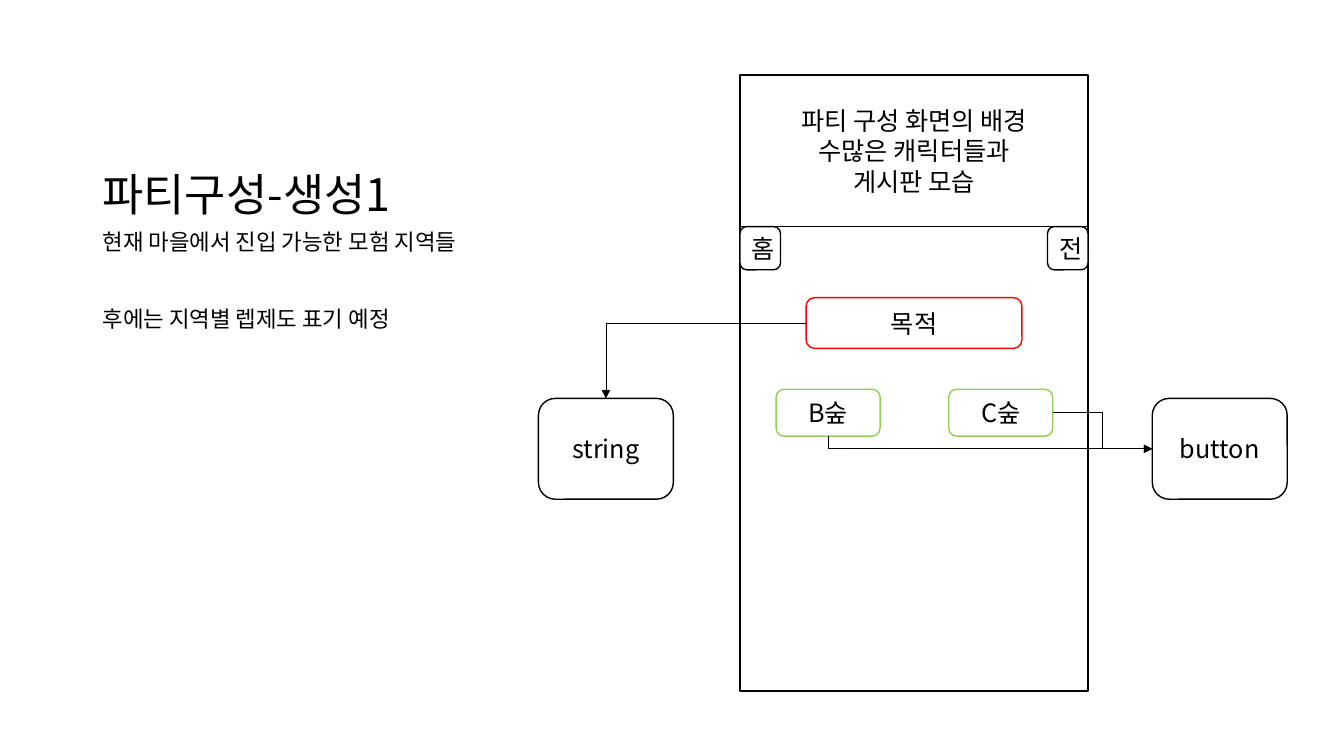
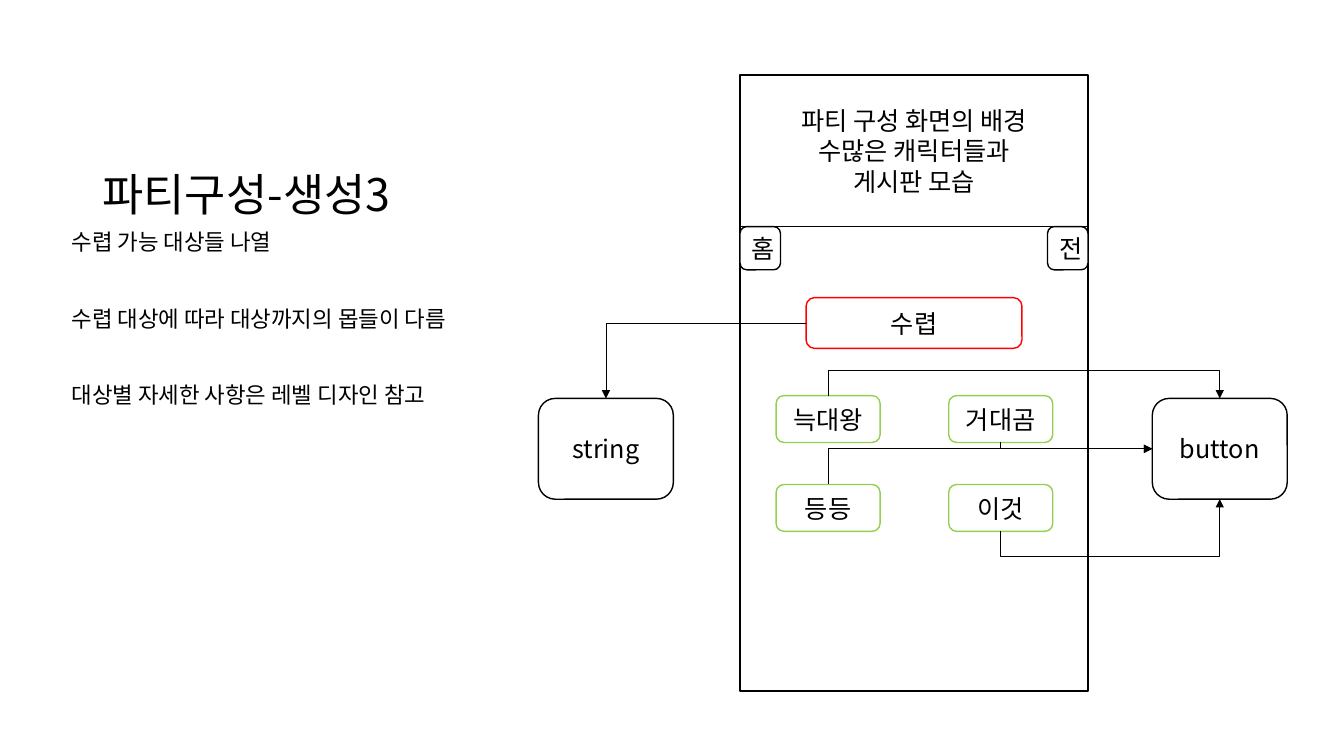
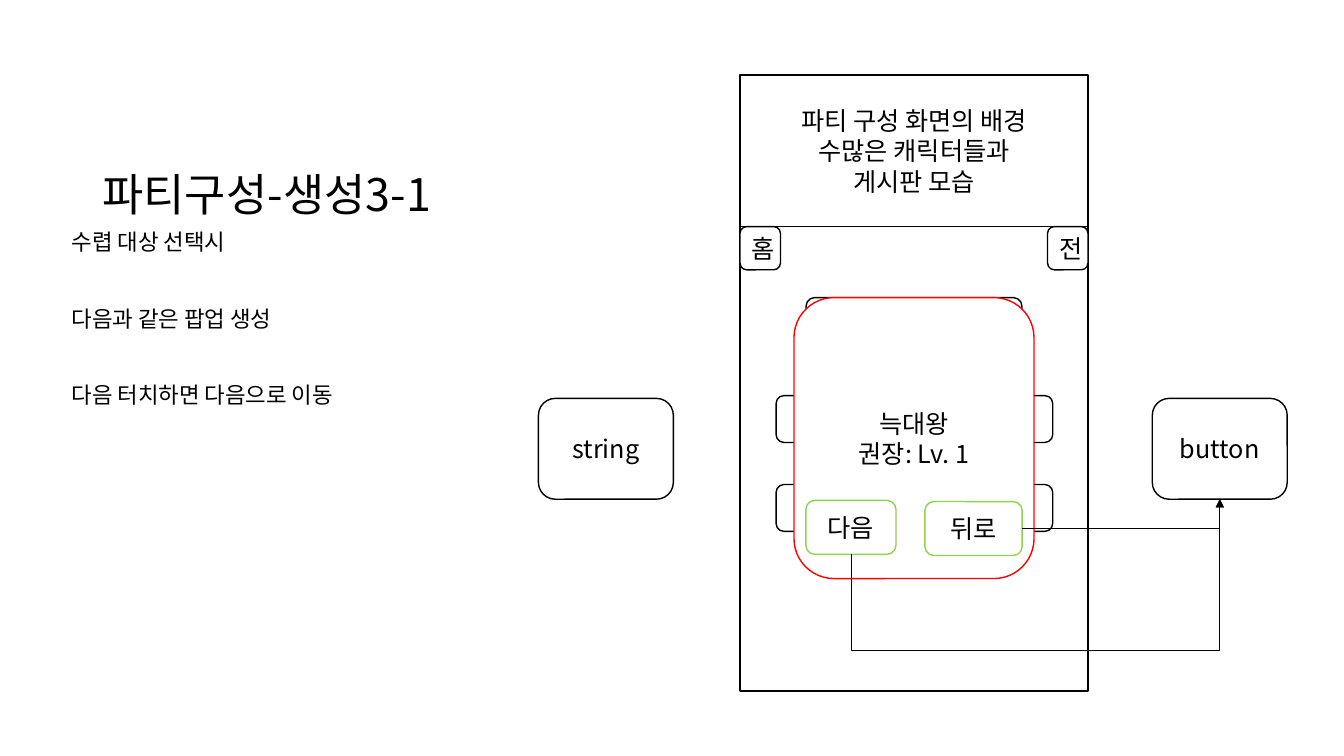
from collections import namedtuple

from lxml import etree
from pptx import Presentation
from pptx.dml.color import RGBColor
from pptx.enum.shapes import MSO_CONNECTOR, MSO_SHAPE
from pptx.enum.text import MSO_ANCHOR, MSO_AUTO_SIZE, PP_ALIGN
from pptx.oxml.ns import qn
from pptx.util import Cm, Pt

RECTANGLE, ROUNDED = MSO_SHAPE.RECTANGLE, MSO_SHAPE.ROUNDED_RECTANGLE
STRAIGHT, ELBOW = MSO_CONNECTOR.STRAIGHT, MSO_CONNECTOR.ELBOW
LEFT, CENTER = PP_ALIGN.LEFT, PP_ALIGN.CENTER
TOP_ANCHOR, MIDDLE, BOTTOM = MSO_ANCHOR.TOP, MSO_ANCHOR.MIDDLE, MSO_ANCHOR.BOTTOM
FIXED, FIT_SHAPE = MSO_AUTO_SIZE.NONE, MSO_AUTO_SIZE.SHAPE_TO_FIT_TEXT

FONT = "Noto Sans CJK KR"
BLACK, WHITE, RED, GREEN = "000000", "FFFFFF", "FF0000", "92D050"
CAPTION_LAYOUT = 7
SITE_TOP, SITE_LEFT, SITE_BOTTOM, SITE_RIGHT = range(4)

# Boxes are in centimetres.
Box = namedtuple("Box", "left top width height")
TITLE = Box(2.33, 1.27, 10.93, 4.44)
BODY_TOP, BODY_HEIGHT = 5.71, 10.6
SCREEN = Box(18.65, 1.89, 8.77, 15.52)
HEADER_HEIGHT = 3.82
STRING_NOTE = Box(13.57, 10.04, 3.4, 2.54)
BUTTON_NOTE = STRING_NOTE._replace(left=29.04)
FIRST_ROW, SECOND_STEP_ROW = 7.92, 8.08
HEADING_TOP = 5.61


def inside(outer, left, top, width, height):
    """Turn a box measured from the corner of outer into a slide box."""
    return Box(outer.left + left, outer.top + top, width, height)


def centered(outer, top, width, height):
    return inside(outer, (outer.width - width) / 2, top, width, height)


def lengths(box):
    return [Cm(value) for value in box]


def color(hex_string):
    return RGBColor.from_string(hex_string)


def write_text(frame, lines, size=18, align=CENTER, anchor=MIDDLE, wrap=True,
               line_spacing=None, before=0, gap=0):
    """Write one paragraph per line; gap is added before all but the first."""
    frame.word_wrap = wrap
    frame.vertical_anchor = anchor
    for index, line in enumerate(lines):
        paragraph = frame.paragraphs[0] if index == 0 else frame.add_paragraph()
        paragraph.alignment = align
        paragraph.line_spacing = line_spacing
        paragraph.space_before = Pt(before + (gap if index else 0))
        run = paragraph.add_run()
        run.text = line
        run.font.size = Pt(size)
        run.font.bold = False
        run.font.color.rgb = color(BLACK)
        run.font.name = FONT
        properties = run._r.get_or_add_rPr()
        etree.SubElement(properties, qn("a:ea"), typeface=FONT)


def add_box(slide, box, *lines, preset=ROUNDED, line=BLACK, fill=WHITE):
    shape = slide.shapes.add_shape(preset, *lengths(box))
    shape.shadow.inherit = False
    if fill:
        shape.fill.solid()
        shape.fill.fore_color.rgb = color(fill)
    else:
        shape.fill.background()
    shape.line.color.rgb = color(line)
    shape.line.width = Pt(1)
    write_text(shape.text_frame, lines)
    return shape


def style_connector(connector):
    connector.line.color.rgb = color(BLACK)
    connector.line.width = Pt(0.5)
    etree.SubElement(connector._element.spPr, qn("a:effectLst"))


def add_arrow(slide, source, source_site, target, target_site, reach=None):
    """Glue a bent arrow; reach (cm) is how far it runs before its first of two turns."""
    connector = slide.shapes.add_connector(ELBOW, 0, 0, 0, 0)
    connector.begin_connect(source, source_site)
    connector.end_connect(target, target_site)
    style_connector(connector)
    properties = connector._element.spPr
    etree.SubElement(properties.find(qn("a:ln")), qn("a:tailEnd"), type="triangle")

    start_x, start_y = connector.begin_x, connector.begin_y
    across, down = connector.end_x - start_x, connector.end_y - start_y
    vertical = source_site in (SITE_TOP, SITE_BOTTOM)
    along = down if vertical else across
    width, height = abs(across), abs(down)
    if vertical:
        width, height = height, width
        angle = 270 if down > 0 else 90
    else:
        angle = 180 if across < 0 else 0
    connector.left = start_x + (across - width) // 2
    connector.top = start_y + (down - height) // 2
    connector.width, connector.height = width, height
    transform = properties.find(qn("a:xfrm"))
    transform.set("rot", str(angle * 60000))
    transform.set("flipH", str(int(vertical)))
    transform.set("flipV", str(int((across < 0) == (down > 0))))

    geometry = properties.find(qn("a:prstGeom"))
    geometry.set("prst", "bentConnector2" if reach is None else "bentConnector3")
    if reach is not None:
        share = round(Cm(reach) / along * 100000)
        etree.SubElement(geometry.find(qn("a:avLst")), qn("a:gd"),
                         name="adj1", fmla=f"val {share}")


def place(shape, box):
    shape.left, shape.top, shape.width, shape.height = lengths(box)


def add_description(slide, title, body, body_left):
    """Fill the title and body placeholders and drop the unused one."""
    content, caption = (slide.placeholders[index] for index in (1, 2))
    content._element.getparent().remove(content._element)
    place(slide.shapes.title, TITLE)
    right = TITLE.left + TITLE.width
    place(caption, Box(body_left, BODY_TOP, right - body_left, BODY_HEIGHT))
    for placeholder in (slide.shapes.title, caption):
        placeholder.text_frame.auto_size = FIXED
    write_text(slide.shapes.title.text_frame, [title], size=32, align=LEFT,
               anchor=BOTTOM, line_spacing=0.9)
    write_text(caption.text_frame, body, size=16, align=LEFT, anchor=TOP_ANCHOR,
               line_spacing=0.9, before=10, gap=27.2)


def add_screen(slide, screen):
    """Draw the phone screen with its header and two corner buttons."""
    add_box(slide, screen, preset=RECTANGLE, fill=None)
    divider_y = Cm(screen.top + HEADER_HEIGHT)
    divider = slide.shapes.add_connector(
        STRAIGHT, Cm(screen.left), divider_y, Cm(screen.left + screen.width), divider_y)
    style_connector(divider)
    header = slide.shapes.add_textbox(*lengths(centered(screen, 0.64, 6.96, 2.57)))
    header.text_frame.auto_size = FIT_SHAPE
    write_text(header.text_frame,
               ["파티 구성 화면의 배경", "수많은 캐릭터들과", "게시판 모습"],
               anchor=TOP_ANCHOR, wrap=False)
    width, height = 1.02, 1.09
    for label, left in (("홈", 0), ("전", screen.width - width)):
        add_box(slide, inside(screen, left, HEADER_HEIGHT, width, height), label)


def add_heading(slide, screen, *lines, line=RED):
    return add_box(slide, centered(screen, HEADING_TOP, 5.44, 1.28), *lines, line=line)


def add_choices(slide, screen, labels, top, line=GREEN):
    """Lay out the choices in two columns; a label of None gives an empty box."""
    choices = []
    for index, label in enumerate(labels):
        row, column = divmod(index, 2)
        box = inside(screen, 0.91 + column * 4.35, top + row * 2.24, 2.62, 1.18)
        choices.append(add_box(slide, box, *([label] if label else []), line=line))
    return choices


def add_popup(slide, screen):
    popup = centered(screen, HEADING_TOP, 6.05, 7.08)
    add_box(slide, popup, "늑대왕", "권장: Lv. 1", line=RED)
    margin, back_width, height = 0.3, 2.45, 1.36
    following = add_box(slide, inside(popup, margin, 5.11, 2.27, height),
                        "다음", line=GREEN)
    back_left = popup.width - margin - back_width
    back = add_box(slide, inside(popup, back_left, 5.14, back_width, height),
                   "뒤로", line=GREEN)
    return following, back


def add_base(presentation, title, body, body_left=1.55):
    """Add a slide with the parts all slides share; return it and its two notes."""
    slide = presentation.slides.add_slide(presentation.slide_layouts[CAPTION_LAYOUT])
    add_description(slide, title, body, body_left)
    add_screen(slide, SCREEN)
    button = add_box(slide, BUTTON_NOTE, "button")
    string = add_box(slide, STRING_NOTE, "string")
    return slide, button, string


def build_region_slide(presentation):
    slide, button, string = add_base(
        presentation, "파티구성-생성1",
        ["현재 마을에서 진입 가능한 모험 지역들", "후에는 지역별 렙제도 표기 예정"],
        body_left=TITLE.left)
    heading = add_heading(slide, SCREEN, "목적")
    forest_b, forest_c = add_choices(slide, SCREEN, ["B숲", "C숲"], FIRST_ROW)
    add_arrow(slide, heading, SITE_LEFT, string, SITE_TOP)
    add_arrow(slide, forest_c, SITE_RIGHT, button, SITE_LEFT, reach=1.26)
    add_arrow(slide, forest_b, SITE_BOTTOM, button, SITE_LEFT)


def build_hunt_slide(presentation):
    slide, button, string = add_base(
        presentation, "파티구성-생성3",
        ["수렵 가능 대상들 나열", "수렵 대상에 따라 대상까지의 몹들이 다름",
         "대상별 자세한 사항은 레벨 디자인 참고"])
    heading = add_heading(slide, SCREEN, "수렵")
    wolf, bear, others, this = add_choices(
        slide, SCREEN, ["늑대왕", "거대곰", "등등", "이것"], SECOND_STEP_ROW)
    add_arrow(slide, wolf, SITE_TOP, button, SITE_TOP, reach=-0.64)
    add_arrow(slide, this, SITE_BOTTOM, button, SITE_BOTTOM, reach=0.64)
    add_arrow(slide, others, SITE_TOP, button, SITE_LEFT)
    add_arrow(slide, heading, SITE_LEFT, string, SITE_TOP)
    add_arrow(slide, bear, SITE_BOTTOM, button, SITE_LEFT)


def build_popup_slide(presentation):
    slide, button, _ = add_base(
        presentation, "파티구성-생성3-1",
        ["수렵 대상 선택시", "다음과 같은 팝업 생성", "다음 터치하면 다음으로 이동"])
    add_heading(slide, SCREEN, line=BLACK)
    add_choices(slide, SCREEN, [None] * 4, SECOND_STEP_ROW, line=BLACK)
    following, back = add_popup(slide, SCREEN)
    add_arrow(slide, back, SITE_RIGHT, button, SITE_BOTTOM)
    add_arrow(slide, following, SITE_BOTTOM, button, SITE_BOTTOM, reach=2.42)


def main():
    presentation = Presentation()
    presentation.slide_width, presentation.slide_height = Cm(33.87), Cm(19.05)
    build_region_slide(presentation)
    build_hunt_slide(presentation)
    build_popup_slide(presentation)
    presentation.save("out.pptx")


if __name__ == "__main__":
    main()
